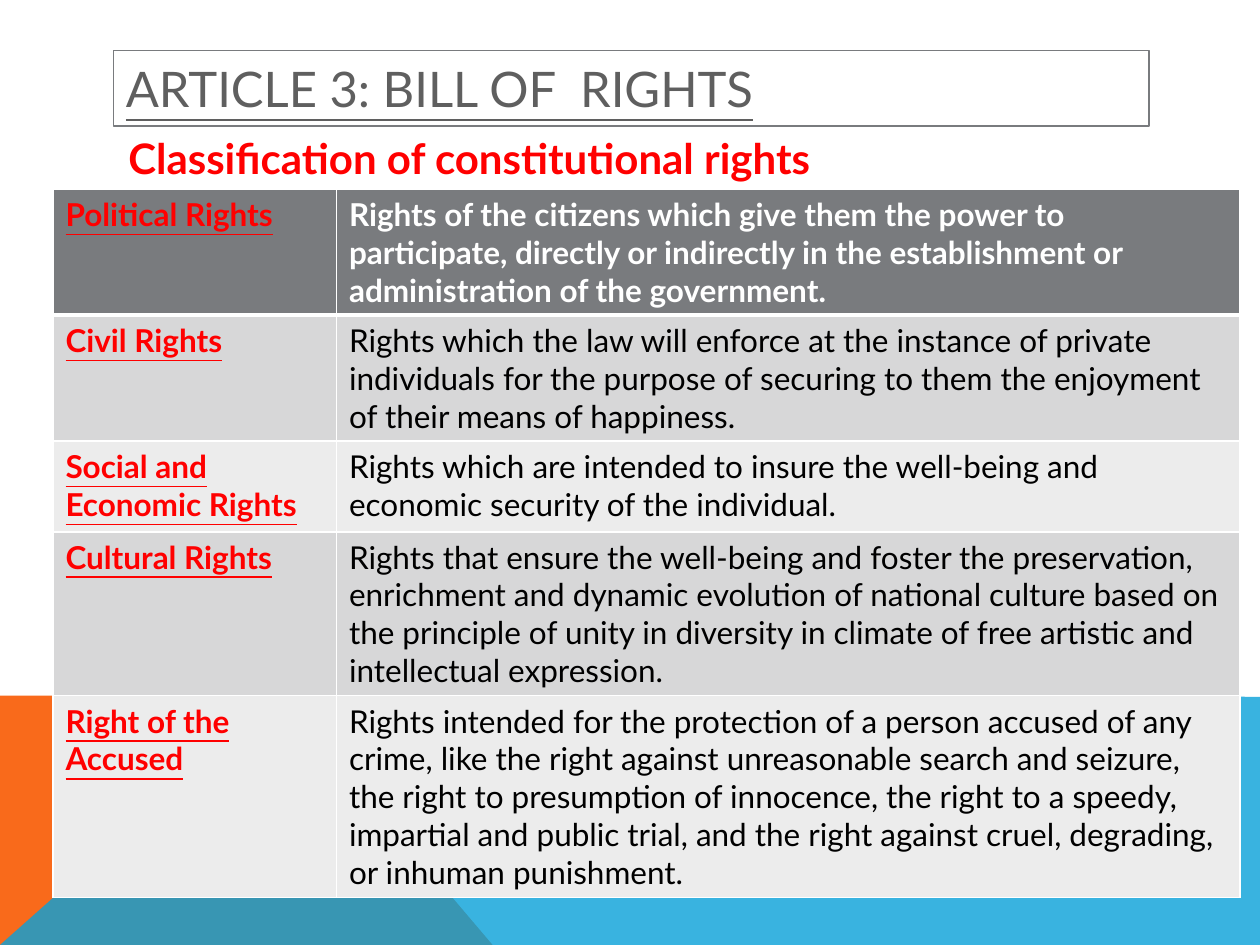
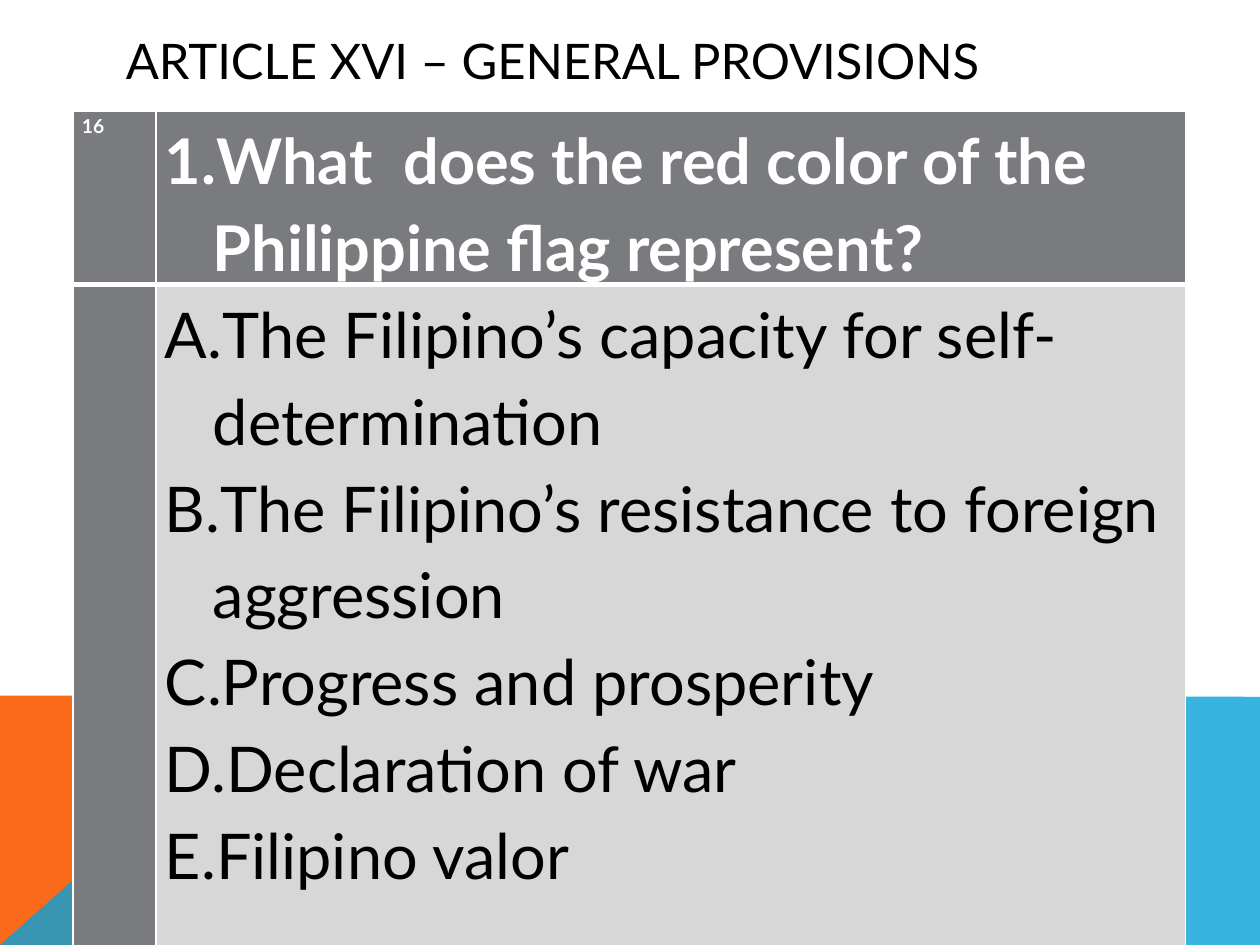
from dataclasses import dataclass, field
from typing import Any, Optional

from lxml.etree import SubElement
from pptx import Presentation
from pptx.dml.color import RGBColor
from pptx.enum.shapes import MSO_SHAPE
from pptx.enum.text import MSO_ANCHOR, PP_ALIGN
from pptx.oxml.ns import qn
from pptx.util import Emu, Inches, Pt

# Slide grid: 100 columns by 75 rows
SLIDE_W, SLIDE_H = Inches(10), Inches(7.5)
COLS, ROWS = 100, 75

# Colours
WHITE = RGBColor(0xFF, 0xFF, 0xFF)
BLACK = RGBColor(0x00, 0x00, 0x00)
RED = RGBColor(0xFF, 0x00, 0x00)
ORANGE = RGBColor(0xF9, 0x6A, 0x1B)
BLUE = RGBColor(0x08, 0xA1, 0xD9)
GREY = RGBColor(0x79, 0x7B, 0x7E)
TITLE_GREY = RGBColor(0x5F, 0x5F, 0x5F)
DARK_BAND = RGBColor(0xD7, 0xD7, 0xD8)
LIGHT_BAND = RGBColor(0xEC, 0xEC, 0xEC)

FONT = "Lato"
HANGING = Inches(0.38)


@dataclass
class Style:
    color: RGBColor
    size: float
    bold: bool = False
    underline: bool = False


@dataclass
class Box:
    left: float
    top: float
    width: float
    height: float


@dataclass
class Band:
    color: RGBColor
    points: list[tuple[float, float]]
    opacity: int = 100


@dataclass
class CellText:
    lines: list[str]
    style: Style
    fill: RGBColor
    numbering: Optional[str] = None


@dataclass
class Grid:
    left: float
    top: float
    widths: list[float]
    heights: list[float]
    cells: list[list[CellText]]
    format: dict[str, Any] = field(default_factory=dict)
    line_spacing: float = 1.0


BANDS = [
    Band(ORANGE, [(0, 75), (0, 55.2), (22.3, 55.2), (39.1, 75)]),
    Band(BLUE, [(0, 75), (22.3, 55.2), (100, 55.3), (100, 75)], opacity=80),
]
TITLE_BOX = Box(9, 4, 82.2, 6)
SUBTITLE_BOX = Box(9.2, 10, 82.2, 39.1)

RIGHTS = [
    ("Political Rights",
     "Rights of the citizens which give them the power to participate, directly or "
     "indirectly in the establishment or administration of the government."),
    ("Civil Rights",
     "Rights which the law will enforce at the instance of private individuals for the "
     "purpose of securing to them the enjoyment of their means of happiness."),
    ("Social and Economic Rights",
     "Rights which are intended to insure the well-being and economic security of the "
     "individual."),
    ("Cultural Rights",
     "Rights that ensure the well-being and foster the preservation, enrichment and "
     "dynamic evolution of national culture based on the principle of unity in diversity "
     "in climate of free artistic and intellectual expression."),
    ("Right of the Accused",
     "Rights intended for the protection of a person accused of any crime, like the right "
     "against unreasonable search and seizure, the right to presumption of innocence, the "
     "right to a speedy, impartial and public trial, and the right against cruel, "
     "degrading, or inhuman punishment."),
]
ANSWERS = [
    "The Filipino’s capacity for self-determination",
    "The Filipino’s resistance to foreign aggression",
    "Progress and prosperity",
    "Declaration of war",
    "Filipino valor",
]


def col(n: float) -> Emu:
    return Emu(round(SLIDE_W * n / COLS))


def row(n: float) -> Emu:
    return Emu(round(SLIDE_H * n / ROWS))


def place(box: Box) -> tuple[Emu, Emu, Emu, Emu]:
    return col(box.left), row(box.top), col(box.width), row(box.height)


def set_all(target, values: dict[str, Any]) -> None:
    for name, value in values.items():
        setattr(target, name, value)


def write(p, text: str, style: Style) -> None:
    r = p.add_run()
    r.text = text
    set_all(r.font, {"name": FONT, "size": Pt(style.size), "bold": style.bold,
                     "underline": style.underline})
    r.font.color.rgb = style.color
    p.alignment = PP_ALIGN.LEFT


def number(p, scheme: str) -> None:
    """Give a paragraph a hanging automatic number."""
    pPr = p._p.get_or_add_pPr()
    pPr.set("marL", str(HANGING))
    pPr.set("indent", str(-HANGING))
    SubElement(pPr, qn("a:buFont"), typeface="+mj-lt")
    SubElement(pPr, qn("a:buAutoNum"), type=scheme)


def draw_band(s, band: Band) -> None:
    points = [(col(x), row(y)) for x, y in band.points]
    builder = s.shapes.build_freeform(*points[0])
    builder.add_line_segments(points[1:], close=True)
    sp = builder.convert_to_shape()
    sp.shadow.inherit = False
    sp.line.fill.background()
    sp.fill.solid()
    sp.fill.fore_color.rgb = band.color
    if band.opacity < 100:
        color = sp.fill._xPr.find(qn("a:solidFill"))[0]
        SubElement(color, qn("a:alpha"), val=str(band.opacity * 1000))


def draw_text(s, box: Box, text: str, style: Style, format: dict[str, Any],
              outline: Optional[RGBColor] = None) -> None:
    if outline is None:
        sp = s.shapes.add_textbox(*place(box))
    else:
        sp = s.shapes.add_shape(MSO_SHAPE.RECTANGLE, *place(box))
        sp.shadow.inherit = False
        sp.fill.background()
        sp.line.color.rgb = outline
        sp.line.width = Pt(0.75)
    tf = sp.text_frame
    set_all(tf, {"word_wrap": True, **format})
    write(tf.paragraphs[0], text, style)


def draw_borders(cell, widths: dict[str, float]) -> None:
    tcPr = cell._tc.get_or_add_tcPr()
    for side, width in widths.items():
        ln = SubElement(tcPr, qn(f"a:ln{side}"), w=str(Pt(width)))
        SubElement(SubElement(ln, qn("a:solidFill")), qn("a:srgbClr"), val=str(WHITE))


def draw_grid(s, grid: Grid) -> None:
    box = Box(grid.left, grid.top, sum(grid.widths), sum(grid.heights))
    table = s.shapes.add_table(len(grid.heights), len(grid.widths), *place(box)).table
    set_all(table, {"first_row": False, "horz_banding": False})
    for column, width in zip(table.columns, grid.widths):
        column.width = col(width)
    for i, (line, height) in enumerate(zip(table.rows, grid.heights)):
        line.height = row(height)
        for cell, content in zip(line.cells, grid.cells[i]):
            set_all(cell, grid.format)
            # The rule under the header row is heavier
            draw_borders(cell, {"L": 1, "R": 1, "T": 3 if i == 1 else 1,
                                "B": 3 if i == 0 else 1})
            cell.fill.solid()
            cell.fill.fore_color.rgb = content.fill
            tf = cell.text_frame
            for k, text in enumerate(content.lines):
                p = tf.paragraphs[0] if k == 0 else tf.add_paragraph()
                write(p, text, content.style)
                p.line_spacing = grid.line_spacing
                if content.numbering:
                    number(p, content.numbering)


def add_slide(prs):
    s = prs.slides.add_slide(prs.slide_layouts[6])
    for band in BANDS:
        draw_band(s, band)
    return s


def rights_grid() -> Grid:
    term = Style(RED, 18, bold=True, underline=True)
    cells = []
    for i, (name, meaning) in enumerate(RIGHTS):
        header = i == 0
        fill = GREY if header else (LIGHT_BAND, DARK_BAND)[i % 2]
        body = Style(WHITE if header else BLACK, 18, bold=header)
        cells.append([CellText([name], term, fill), CellText([meaning], body, fill)])
    return Grid(4.2, 15, [22.5, 71.7], [10, 10, 7.2, 13, 16], cells)


def question_grid() -> Grid:
    label = Style(WHITE, 11, bold=True)
    question = CellText(["What  does the red color of the Philippine flag represent?"],
                        Style(WHITE, 36, bold=True), GREY, "arabicPeriod")
    answers = CellText(ANSWERS, Style(BLACK, 36), DARK_BAND, "alphaUcPeriod")
    cells = [[CellText(["16"], label, GREY), question],
             [CellText([], label, GREY), answers]]
    margins = {"margin_left": col(0.7), "margin_right": col(0.7),
               "margin_top": 0, "margin_bottom": 0}
    return Grid(5.8, 8.8, [6.6, 81.7], [13.8, 54.3], cells, margins, line_spacing=1.15)


def main() -> None:
    prs = Presentation()
    set_all(prs, {"slide_width": SLIDE_W, "slide_height": SLIDE_H})

    # Bill of Rights
    s = add_slide(prs)
    draw_text(s, TITLE_BOX, "ARTICLE 3: BILL OF  RIGHTS",
              Style(TITLE_GREY, 28, underline=True),
              {"vertical_anchor": MSO_ANCHOR.MIDDLE}, outline=GREY)
    draw_text(s, SUBTITLE_BOX, "Classification of constitutional rights",
              Style(RED, 24, bold=True), {"vertical_anchor": MSO_ANCHOR.TOP})
    draw_grid(s, rights_grid())

    # General provisions: the title sits high, clear of the table
    s = add_slide(prs)
    draw_text(s, TITLE_BOX, "ARTICLE XVI – GENERAL PROVISIONS", Style(BLACK, 28),
              {"vertical_anchor": MSO_ANCHOR.BOTTOM, "margin_top": 0,
               "margin_bottom": row(2.9)})
    draw_grid(s, question_grid())

    prs.save("out.pptx")


if __name__ == "__main__":
    main()
